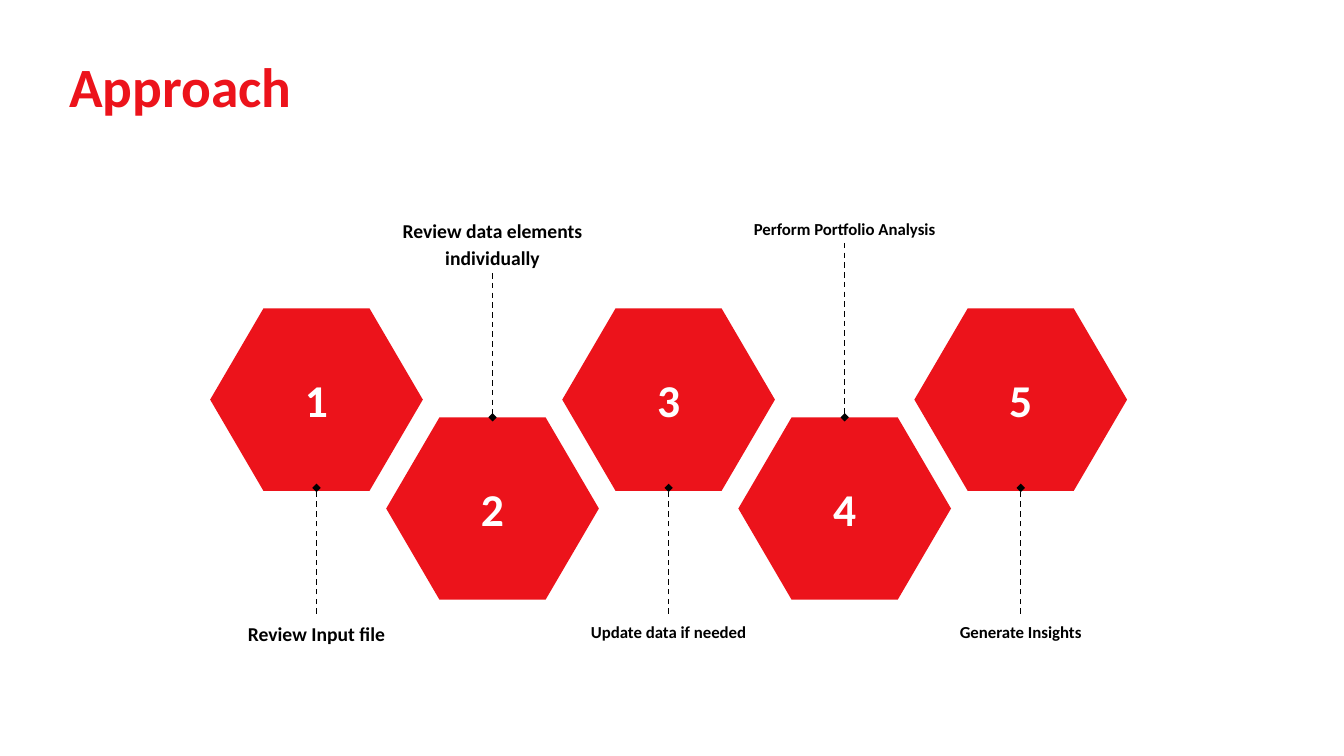
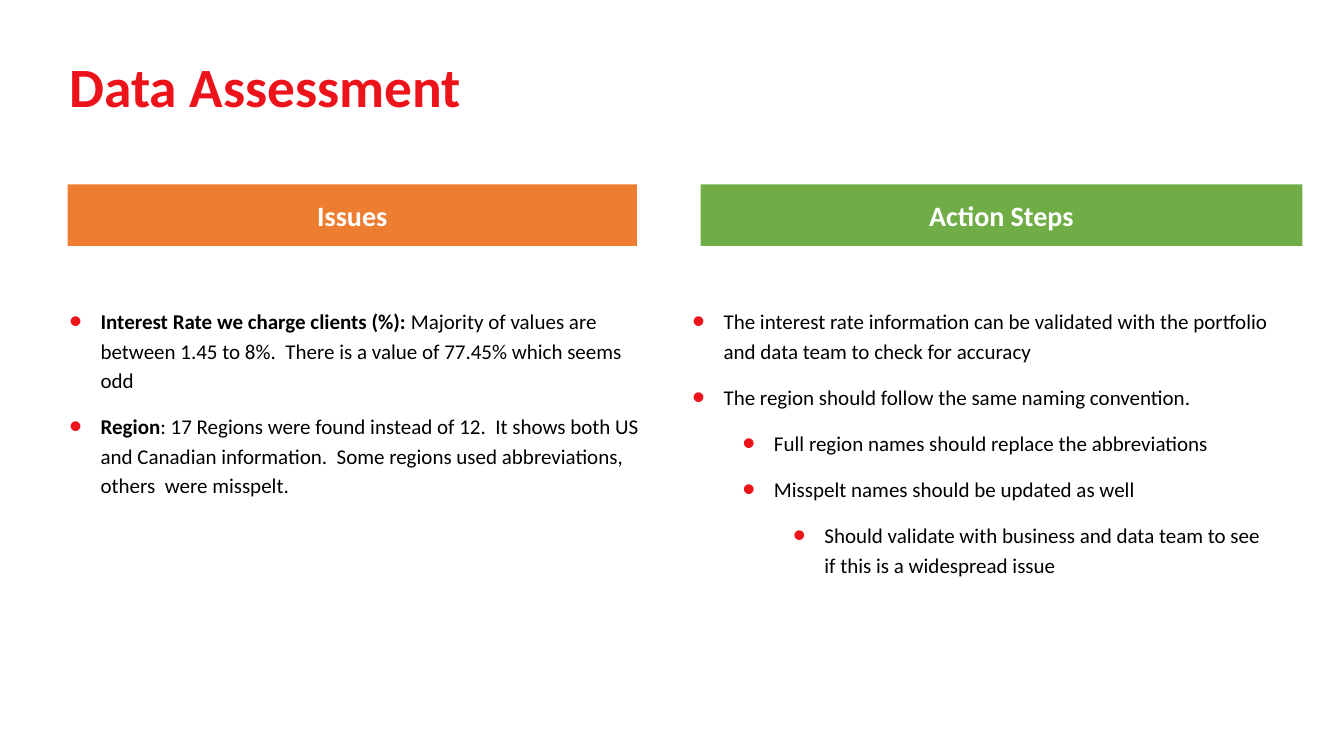
from dataclasses import dataclass

from lxml import etree
from pptx import Presentation, util as u
from pptx.dml import color
from pptx.enum import dml, shapes, text
from pptx.oxml import ns

WIDTH, HEIGHT = u.Inches(13.33), u.Inches(7.5)
COLUMNS, ROWS = 40, 30


@dataclass(frozen=True)
class Theme:
    """Colours, type sizes and spacing shared by the slides."""
    font: str = "Calibri"
    red: str = "EC131B"
    orange: str = "ED7D31"
    green: str = "70AD47"
    black: str = "000000"
    white: str = "FFFFFF"
    title_size: float = 39.6
    number_size: float = 32.5
    band_size: float = 20
    body_size: float = 15
    label_size: float = 14
    small_label_size: float = 12
    label_spacing: float = 1.14
    body_spacing: float = 1.17
    bullet_percent: int = 170


def across(columns):
    """Turn grid columns into a horizontal length."""
    return round(WIDTH * columns / COLUMNS)


def down(rows):
    """Turn grid rows into a vertical length."""
    return round(HEIGHT * rows / ROWS)


def box(left, top, width, height):
    """Turn a box in columns and rows into slide lengths."""
    return across(left), down(top), across(width), down(height)


def add_child(parent, tag, **attributes):
    """Append a DrawingML element to a parent element."""
    return etree.SubElement(parent, ns.qn(tag), attributes)


class Deck:
    """Holds the style and the current slide, and draws each element."""

    def __init__(self, theme):
        """Start an empty widescreen presentation."""
        self.theme = theme
        self.presentation = Presentation()
        self.presentation.slide_width = WIDTH
        self.presentation.slide_height = HEIGHT
        self.slide = None

    def new_slide(self, title):
        """Add a blank slide with the shared title."""
        layout = self.presentation.slide_layouts[6]
        self.slide = self.presentation.slides.add_slide(layout)
        frame = self.text_frame(1.77, 2.24, 17.22, 2.64)
        frame.vertical_anchor = text.MSO_ANCHOR.MIDDLE
        frame.text = title
        paragraph = frame.paragraphs[0]
        paragraph.line_spacing = 0.9
        self.format_runs(paragraph, self.theme.title_size, self.theme.red)

    def format_runs(self, paragraph, size, ink, bold=True):
        """Style every run of a paragraph."""
        for run in paragraph.runs:
            run.font.name = self.theme.font
            run.font.size = u.Pt(size)
            run.font.bold = bold
            run.font.color.rgb = color.RGBColor.from_string(ink)

    def text_frame(self, *place):
        """Add a wrapping text box and return its frame."""
        frame = self.slide.shapes.add_textbox(*box(*place)).text_frame
        frame.word_wrap = True
        return frame

    def filled_shape(self, kind, place, fill, caption, size):
        """Add a plain filled shape with a centred white caption."""
        shape = self.slide.shapes.add_shape(kind, *box(*place))
        shape.shadow.inherit = False
        shape.fill.solid()
        shape.fill.fore_color.rgb = color.RGBColor.from_string(fill)
        shape.line.fill.background()
        shape.text_frame.vertical_anchor = text.MSO_ANCHOR.MIDDLE
        shape.text_frame.text = caption
        paragraph = shape.text_frame.paragraphs[0]
        paragraph.alignment = text.PP_ALIGN.CENTER
        self.format_runs(paragraph, size, self.theme.white)
        return shape

    def hexagon(self, place, number):
        """Add a numbered hexagon."""
        shape = self.filled_shape(shapes.MSO_SHAPE.HEXAGON, place, self.theme.red,
                                  str(number), self.theme.number_size)
        shape.adjustments[0] = 0.292

    def band(self, place, fill, caption):
        """Add a coloured heading band."""
        self.filled_shape(shapes.MSO_SHAPE.RECTANGLE, place, fill, caption,
                          self.theme.band_size)

    def label(self, place, caption, size):
        """Add a centred bold step label."""
        frame = self.text_frame(*place)
        frame.auto_size = text.MSO_AUTO_SIZE.SHAPE_TO_FIT_TEXT
        frame.text = caption
        paragraph = frame.paragraphs[0]
        paragraph.alignment = text.PP_ALIGN.CENTER
        paragraph.line_spacing = self.theme.label_spacing
        self.format_runs(paragraph, size, self.theme.black)

    def pointer(self, column, start_row, end_row):
        """Add a vertical dashed line that ends in a diamond."""
        connector = self.slide.shapes.add_connector(
            shapes.MSO_CONNECTOR.STRAIGHT, across(column), down(start_row),
            across(column), down(end_row))
        connector.line.color.rgb = color.RGBColor.from_string(self.theme.black)
        connector.line.width = u.Pt(1)
        connector.line.dash_style = dml.MSO_LINE.DASH
        properties = connector._element.spPr
        add_child(properties.find(ns.qn("a:ln")), "a:tailEnd", type="diamond")
        add_child(properties, "a:effectLst")

    def bullets(self, place, items):
        """Add a bulleted list of (level, bold lead, plain text) items."""
        frame = self.text_frame(*place)
        frame.auto_size = text.MSO_AUTO_SIZE.SHAPE_TO_FIT_TEXT
        for index, (level, lead, plain) in enumerate(items):
            paragraph = frame.add_paragraph() if index else frame.paragraphs[0]
            paragraph.text = lead or plain
            self.format_runs(paragraph, self.theme.body_size, self.theme.black)
            if lead:
                paragraph.add_run().text = plain
                self.format_runs(paragraph, self.theme.body_size, self.theme.black)
            paragraph.runs[-1].font.bold = False
            paragraph.level = level
            paragraph.line_spacing = self.theme.body_spacing
            paragraph.space_after = u.Pt(12)
            self.add_bullet(paragraph, level)

    def add_bullet(self, paragraph, level):
        """Give a paragraph a large red bullet and a hanging indent."""
        properties = paragraph._p.get_or_add_pPr()
        properties.set("marL", str(u.Inches(0.31 + 0.5 * level)))
        properties.set("indent", str(-u.Inches(0.31)))
        tint = add_child(properties, "a:buClr")
        add_child(tint, "a:srgbClr", val=self.theme.red)
        add_child(properties, "a:buSzPct", val=str(self.theme.bullet_percent * 1000))
        add_child(properties, "a:buFont", typeface="Arial")
        add_child(properties, "a:buChar", char="•")


def build_approach(deck):
    """Draw five staggered steps, labelled below and above in turn."""
    large, small = deck.theme.label_size, deck.theme.small_label_size
    steps = [
        ("Review Input file", large, 1.4),
        ("Review data elements individually", large, 2.48),
        ("Update data if needed", small, 1.28),
        ("Perform Portfolio Analysis", small, 1.28),
        ("Generate Insights", small, 1.28),
    ]
    first_center, step_width = 9.42, 5.24
    hexagon_width, hexagon_height = 6.33, 7.24
    high_row, low_row = 12.24, 16.56
    label_width, above_row, below_row = 8, 8.36, 24.36

    deck.new_slide("Approach")
    for index, (caption, size, label_height) in enumerate(steps):
        center = first_center + index * step_width
        is_low = index % 2 == 1
        hexagon_row = low_row if is_low else high_row
        label_row = above_row if is_low else below_row
        deck.hexagon((center - hexagon_width / 2, hexagon_row,
                      hexagon_width, hexagon_height), index + 1)
        deck.label((center - label_width / 2, label_row,
                    label_width, label_height), caption, size)
        if is_low:
            deck.pointer(center, label_row + label_height, low_row)
        else:
            deck.pointer(center, label_row, high_row + hexagon_height - 0.12)


def build_assessment(deck):
    """Draw the issues beside their action steps."""
    issues = [
        (0, "Interest Rate we charge clients (%): ",
         "Majority of values are between 1.45 to 8%.  There is a value of "
         "77.45% which seems odd"),
        (0, "Region",
         ": 17 Regions were found instead of 12.  It shows both US and Canadian "
         "information.  Some regions used abbreviations, others  were misspelt."),
    ]
    actions = [
        (0, "", "The interest rate information can be validated with the "
                "portfolio and data team to check for accuracy"),
        (0, "", "The region should follow the same naming convention."),
        (1, "", "Full region names should replace the abbreviations"),
        (1, "", "Misspelt names should be updated as well"),
        (2, "", "Should validate with business and data team to see if this "
                "is a widespread issue"),
    ]
    band_row, band_height = 7.32, 2.44
    list_row, list_width = 11.88, 17.91

    deck.new_slide("Data Assessment")
    deck.band((2.01, band_row, 16.95, band_height), deck.theme.orange, "Issues")
    deck.band((20.85, band_row, 17.91, band_height), deck.theme.green, "Action Steps")
    deck.bullets((1.77, list_row, list_width, 8.08), issues)
    deck.bullets((20.31, list_row, list_width, 11.28), actions)


def main():
    """Build and save the presentation."""
    deck = Deck(Theme())
    build_approach(deck)
    build_assessment(deck)
    deck.presentation.save("out.pptx")


main()
